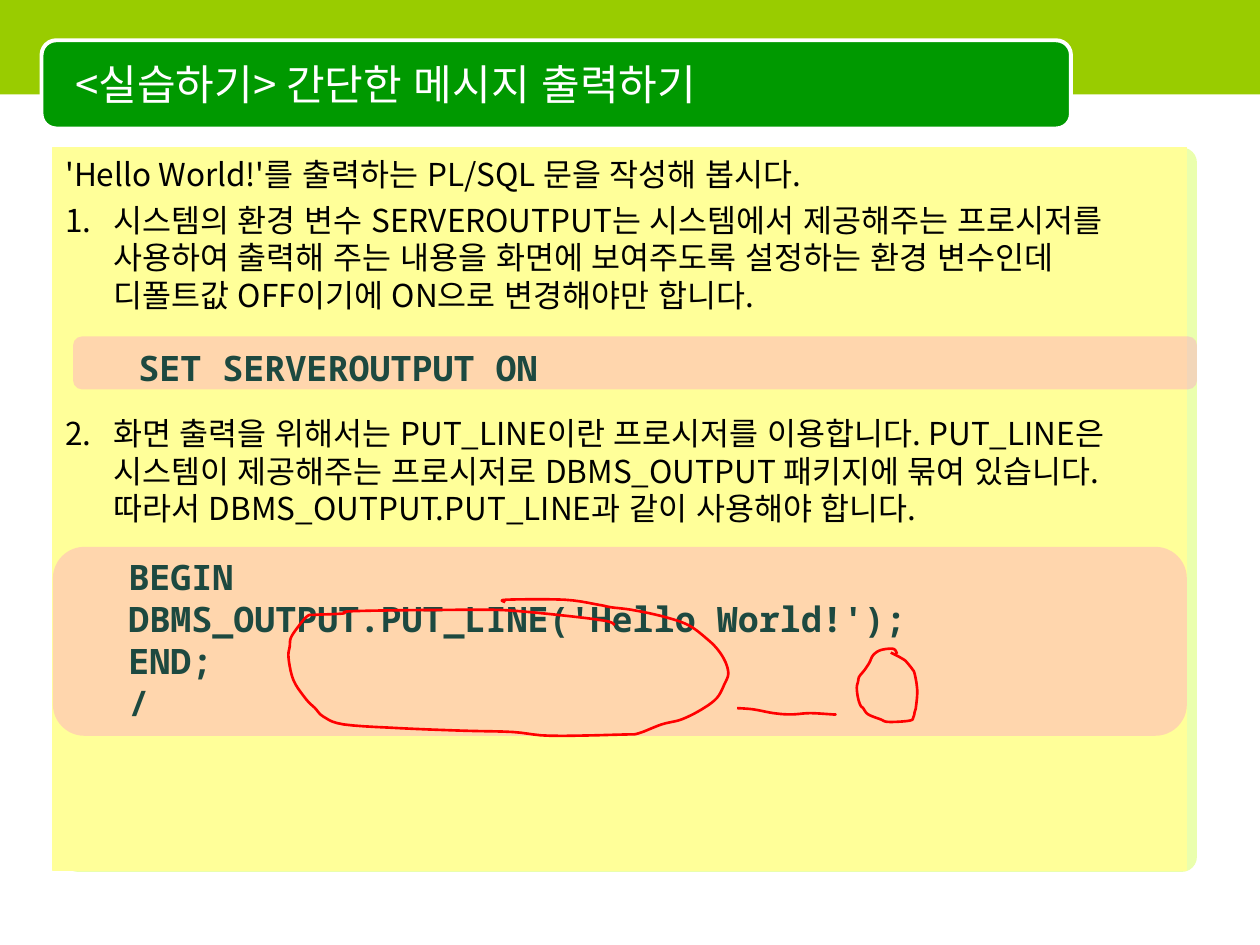
"""Build the practice slide on printing a simple message with PL/SQL."""
from dataclasses import dataclass
from typing import Optional

import lxml.etree
import pptx
import pptx.dml.color
import pptx.enum.lang
import pptx.enum.shapes
import pptx.enum.text
import pptx.oxml.ns
import pptx.util

Inches = pptx.util.Inches
Pt = pptx.util.Pt
Shape = pptx.enum.shapes.MSO_SHAPE
Anchor = pptx.enum.text.MSO_ANCHOR
qn = pptx.oxml.ns.qn


@dataclass(frozen=True)
class Theme:
    band: str = "99CC00"
    title_bar: str = "009900"
    white: str = "FFFFFF"
    backdrop: str = "CCFF33"
    page: str = "FFFF99"
    code_panel: str = "FF99CC"
    body_text: str = "000000"
    code_text: str = "1D4940"
    pen: str = "FF0000"
    body_font: str = "Noto Sans CJK KR"
    code_font: str = "Noto Sans Mono"
    title_size: float = 24
    body_size: float = 18
    code_size: float = 20
    line_ratio: float = 1.2
    pen_width: float = 1.5


THEME = Theme()


@dataclass(frozen=True)
class Area:
    left: float
    top: float
    width: float
    height: float

    def lengths(self) -> tuple:
        return tuple(Inches(value) for value in (self.left, self.top, self.width, self.height))


@dataclass(frozen=True)
class Line:
    text: str
    number: Optional[int] = None
    space_before: float = 0


@dataclass(frozen=True)
class CodePanel:
    panel: Area
    text_area: Area
    lines: tuple


@dataclass(frozen=True)
class Stroke:
    points: tuple


BODY = (
    Line("'Hello World!'를 출력하는 PL/SQL 문을 작성해 봅시다."),
    Line("시스템의 환경 변수 SERVEROUTPUT는 시스템에서 제공해주는 프로시저를 사용하여 출력해 주는 "
         "내용을 화면에 보여주도록 설정하는 환경 변수인데 디폴트값 OFF이기에 ON으로 변경해야만 합니다.",
         number=1, space_before=4.5),
    Line("화면 출력을 위해서는 PUT_LINE이란 프로시저를 이용합니다. PUT_LINE은 시스템이 제공해주는 "
         "프로시저로 DBMS_OUTPUT 패키지에 묶여 있습니다. 따라서 DBMS_OUTPUT.PUT_LINE과 같이 "
         "사용해야 합니다.", number=2, space_before=57),
)

CODE_PANELS = (
    CodePanel(Area(0.58, 2.67, 8.92, 0.42), Area(1, 2.67, 8.5, 0.44),
              (Line("SET SERVEROUTPUT ON"),)),
    CodePanel(Area(0.42, 4.34, 9, 1.5), Area(0.92, 4.33, 8.5, 1.44),
              (Line("BEGIN"), Line("DBMS_OUTPUT.PUT_LINE('Hello World!');"),
               Line("END;"), Line("/"))),
)

UNDERLINE = Stroke(((5.85, 5.62), (5.98, 5.63), (6.14, 5.66), (6.28, 5.67),
                    (6.43, 5.66), (6.61, 5.67), (6.63, 5.67)))
SMALL_RING = Stroke((
    (7.12, 5.19), (7.09, 5.15), (6.99, 5.16), (6.93, 5.2), (6.9, 5.26), (6.86, 5.32),
    (6.82, 5.37), (6.81, 5.41), (6.8, 5.46), (6.81, 5.54), (6.83, 5.6), (6.85, 5.62),
    (6.89, 5.67), (6.99, 5.71), (7.05, 5.73), (7.22, 5.72), (7.25, 5.69), (7.26, 5.65),
    (7.27, 5.61), (7.28, 5.48), (7.26, 5.35), (7.24, 5.31), (7.2, 5.26), (7.18, 5.24),
    (7.13, 5.21), (7.09, 5.19), (7.07, 5.18)))
LARGE_RING = Stroke((
    (4.88, 4.96), (4.76, 4.92), (4.11, 4.85), (3.7, 4.84), (2.82, 4.85), (2.72, 4.87),
    (2.5, 4.88), (2.44, 4.89), (2.37, 4.97), (2.31, 5.06), (2.3, 5.13), (2.29, 5.22),
    (2.33, 5.4), (2.43, 5.55), (2.5, 5.62), (2.57, 5.69), (2.73, 5.75), (3.18, 5.78),
    (3.68, 5.8), (4.07, 5.81), (4.37, 5.84), (4.95, 5.83), (5.07, 5.82), (5.25, 5.75),
    (5.41, 5.71), (5.57, 5.63), (5.69, 5.54), (5.75, 5.43), (5.78, 5.35), (5.76, 5.26),
    (5.7, 5.16), (5.61, 5.07), (5.46, 4.96), (5.25, 4.89), (5.01, 4.84), (4.85, 4.82),
    (4.75, 4.8), (4.48, 4.76), (4.02, 4.76), (4.01, 4.78)))


def color(value: str) -> pptx.dml.color.RGBColor:
    return pptx.dml.color.RGBColor.from_string(value)


def add_panel(shapes, area: Area, fill: str, kind=Shape.RECTANGLE, corner: Optional[float] = None,
              alpha: Optional[int] = None, line: Optional[str] = None, line_width: float = 0.75):
    box = shapes.add_shape(kind, *area.lengths())
    box.shadow.inherit = False
    box.fill.solid()
    box.fill.fore_color.rgb = color(fill)
    if corner is not None:
        box.adjustments[0] = corner
    if alpha is not None:
        tint = box.fill._xPr.find(qn("a:solidFill"))[0]
        lxml.etree.SubElement(tint, qn("a:alpha")).set("val", str(alpha * 1000))
    if line:
        box.line.color.rgb = color(line)
        box.line.width = Pt(line_width)
    else:
        box.line.fill.background()
    return box


def number_paragraph(para, number: int, tint: str) -> None:
    properties = para._p.get_or_add_pPr()
    properties.set("marL", str(Inches(0.38)))
    properties.set("indent", str(-Inches(0.38)))
    bullet_color = lxml.etree.SubElement(properties, qn("a:buClr"))
    lxml.etree.SubElement(bullet_color, qn("a:srgbClr")).set("val", tint)
    bullet = lxml.etree.SubElement(properties, qn("a:buAutoNum"))
    bullet.set("type", "arabicPeriod")
    bullet.set("startAt", str(number))


def write_text(box, lines: tuple, *, font: str, size: float, tint: str, bold: bool = False,
               anchor=Anchor.TOP, top_inset: float = 0.05, right_inset: float = 0.1,
               line_ratio: Optional[float] = None) -> None:
    frame = box.text_frame
    frame.word_wrap = True
    frame.vertical_anchor = anchor
    frame.margin_left, frame.margin_right = Inches(0.1), Inches(right_inset)
    frame.margin_top, frame.margin_bottom = Inches(top_inset), Inches(0.05)
    for index, line in enumerate(lines):
        para = frame.paragraphs[0] if index == 0 else frame.add_paragraph()
        if line.number:
            number_paragraph(para, line.number, tint)
        para.alignment = pptx.enum.text.PP_ALIGN.LEFT
        if line_ratio:
            para.line_spacing = Pt(size * line_ratio)
        if line.space_before:
            para.space_before = Pt(line.space_before)
        span = para.add_run()
        span.text = line.text
        span.font.name, span.font.size, span.font.bold = font, Pt(size), bold
        span.font.color.rgb = color(tint)
        span.font.language_id = pptx.enum.lang.MSO_LANGUAGE_ID.KOREAN
        lxml.etree.SubElement(span._r.get_or_add_rPr(), qn("a:ea")).set("typeface", font)


def add_code(shapes, code: CodePanel) -> None:
    group = shapes.add_group_shape()
    add_panel(group.shapes, code.panel, THEME.code_panel, Shape.ROUNDED_RECTANGLE, 0.167, alpha=40)
    box = group.shapes.add_textbox(*code.text_area.lengths())
    write_text(box, code.lines, font=THEME.code_font, size=THEME.code_size, tint=THEME.code_text,
               bold=True, top_inset=0.08, line_ratio=THEME.line_ratio)


def smooth_points(points: tuple, steps: int = 5) -> list:
    padded = (points[0], *points, points[-1])
    result = [points[0]]
    for a, b, c, d in zip(padded, padded[1:], padded[2:], padded[3:]):
        for step in range(1, steps + 1):
            t = step / steps
            result.append(tuple(
                b[i] + t * (c[i] - a[i]) / 2 + t * t * (2 * a[i] - 5 * b[i] + 4 * c[i] - d[i]) / 2
                + t ** 3 * (3 * b[i] - a[i] - 3 * c[i] + d[i]) / 2 for i in (0, 1)))
    return result


def add_stroke(shapes, stroke: Stroke) -> None:
    start, *rest = [(Inches(x), Inches(y)) for x, y in smooth_points(stroke.points)]
    builder = shapes.build_freeform(*start)
    builder.add_line_segments(rest, close=False)
    mark = builder.convert_to_shape()
    mark.shadow.inherit = False
    mark.fill.background()
    mark.line.color.rgb = color(THEME.pen)
    mark.line.width = Pt(THEME.pen_width)


def main() -> None:
    deck = pptx.Presentation()
    deck.slide_width, deck.slide_height = Inches(10), Inches(7.5)
    shapes = deck.slides.add_slide(deck.slide_layouts[6]).shapes
    add_panel(shapes, Area(0.5, 1.17, 9, 5.75), THEME.backdrop, Shape.ROUNDED_RECTANGLE, 0.021, alpha=40)
    add_panel(shapes, Area(0, 0, 10, 0.75), THEME.band)
    add_panel(shapes, Area(0.33, 0.32, 8.17, 0.7), THEME.title_bar, Shape.ROUNDED_RECTANGLE, 0.167,
              line=THEME.white, line_width=2.25)
    title = shapes.add_textbox(*Area(0.5, 0.35, 7.92, 0.62).lengths())
    write_text(title, (Line("<실습하기> 간단한 메시지 출력하기"),), font=THEME.body_font,
               size=THEME.title_size, tint=THEME.white, anchor=Anchor.MIDDLE)
    page = add_panel(shapes, Area(0.42, 1.17, 9, 5.74), THEME.page, line=THEME.page)
    write_text(page, BODY, font=THEME.body_font, size=THEME.body_size, tint=THEME.body_text,
               top_inset=0.06, right_inset=0.15, line_ratio=THEME.line_ratio)
    for code in CODE_PANELS:
        add_code(shapes, code)
    for stroke in (UNDERLINE, SMALL_RING, LARGE_RING):
        add_stroke(shapes, stroke)
    deck.save("out.pptx")


if __name__ == "__main__":
    main()
